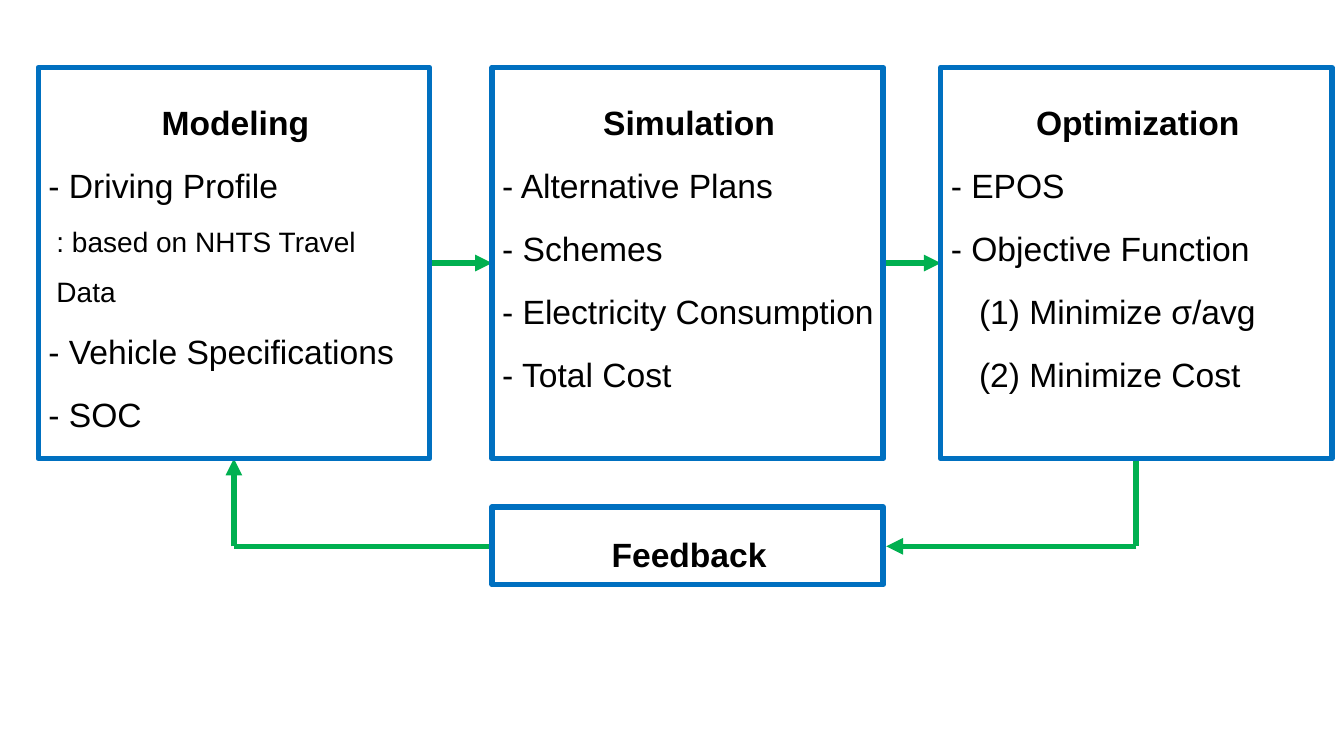
import pptx
import pptx.dml.color
import pptx.enum.shapes
import pptx.enum.text
import pptx.oxml.ns
import pptx.util
from lxml import etree

BLUE = pptx.dml.color.RGBColor(0x00, 0x70, 0xC0)
GREEN = pptx.dml.color.RGBColor(0x00, 0xB0, 0x50)
BLACK = pptx.dml.color.RGBColor(0x00, 0x00, 0x00)

# Layout in inches
SLIDE_WIDTH, SLIDE_HEIGHT = 13.33, 7.5
COLUMNS = (0.38, 4.88, 9.33)
STAGE_TOP, STAGE_SIZE = 0.67, 3.88
FEEDBACK_TOP, FEEDBACK_HEIGHT = 5.03, 0.77
TEXT_TOP, TEXT_WIDTH, TEXT_HEIGHT = 0.56, 3.91, 3.9
STROKE = pptx.util.Pt(4)

# Each stage: heading, then (text, size in points, indent in inches)
STAGES = (
    ("Modeling", (("- Driving Profile", 24, 0),
                  (": based on NHTS Travel Data", 20, 0.08),
                  ("- Vehicle Specifications", 24, 0),
                  ("- SOC", 24, 0))),
    ("Simulation", (("- Alternative Plans", 24, 0),
                    ("- Schemes", 24, 0),
                    ("- Electricity Consumption", 24, 0),
                    ("- Total Cost", 24, 0))),
    ("Optimization", (("- EPOS", 24, 0),
                      ("- Objective Function", 24, 0),
                      ("(1) Minimize σ/avg", 24, 0.28),
                      ("(2) Minimize Cost", 24, 0.28))),
)


def inches(*lengths):
    """Convert lengths in inches to slide units."""
    return [pptx.util.Inches(length) for length in lengths]


def write(paragraph, text, size=24, bold=False, centered=False, spacing=1.5, indent=0):
    """Write one formatted paragraph without a bullet."""
    align = pptx.enum.text.PP_ALIGN
    paragraph.alignment = align.CENTER if centered else align.LEFT
    paragraph.line_spacing = spacing
    paragraph.space_before = pptx.util.Pt(1.75)
    properties = paragraph._p.get_or_add_pPr()
    properties.set("marL", str(pptx.util.Inches(indent)))
    properties.set("indent", "0")
    etree.SubElement(properties, pptx.oxml.ns.qn("a:buNone"))
    run = paragraph.add_run()
    run.text = text
    run.font.name = "Arial"
    run.font.size = pptx.util.Pt(size)
    run.font.bold = bold
    run.font.color.rgb = BLACK


def place_text(body, left, top, height, heading, items=(), heading_spacing=2.0):
    """Move a body placeholder and fill it with a heading and its list."""
    body.left, body.top, body.width, body.height = inches(left, top, TEXT_WIDTH, height)
    frame = body.text_frame
    frame.word_wrap = True
    frame.auto_size = pptx.enum.text.MSO_AUTO_SIZE.NONE
    frame.vertical_anchor = pptx.enum.text.MSO_ANCHOR.TOP
    write(frame.paragraphs[0], heading, bold=True, centered=True, spacing=heading_spacing)
    for text, size, indent in items:
        write(frame.add_paragraph(), text, size=size, indent=indent)


def add_frame(slide, left, top, height):
    """Draw an unfilled blue frame one column wide."""
    frame = slide.shapes.add_shape(
        pptx.enum.shapes.MSO_SHAPE.RECTANGLE, *inches(left, top, STAGE_SIZE, height))
    frame.shadow.inherit = False
    frame.fill.background()
    frame.line.color.rgb = BLUE
    frame.line.width = STROKE


def add_flow(slide, start, end, arrow=True):
    """Draw a green line, with an arrowhead at its end if asked."""
    flow = slide.shapes.add_connector(
        pptx.enum.shapes.MSO_CONNECTOR.STRAIGHT, *inches(*start, *end))
    flow.line.color.rgb = GREEN
    flow.line.width = STROKE
    if arrow:
        etree.SubElement(flow.line._get_or_add_ln(),
                         pptx.oxml.ns.qn("a:tailEnd"), type="triangle")
    etree.SubElement(flow._element.spPr, pptx.oxml.ns.qn("a:effectLst"))


def add_flows(slide):
    """Link the stages in a row and loop back through the feedback."""
    stage_middle = 2.61
    stage_bottom = STAGE_TOP + STAGE_SIZE
    feedback_middle = 5.42
    for left, following in zip(COLUMNS, COLUMNS[1:]):
        add_flow(slide, (left + STAGE_SIZE, stage_middle), (following, stage_middle))
    first, last = (left + STAGE_SIZE / 2 for left in (COLUMNS[0], COLUMNS[-1]))
    feedback_left = COLUMNS[1]
    feedback_right = feedback_left + STAGE_SIZE + 0.03
    add_flow(slide, (last, stage_bottom), (last, feedback_middle), arrow=False)
    add_flow(slide, (last, feedback_middle), (feedback_right, feedback_middle))
    add_flow(slide, (feedback_left, feedback_middle), (first, feedback_middle), arrow=False)
    add_flow(slide, (first, feedback_middle), (first, stage_bottom))


def main():
    """Build the process slide."""
    deck = pptx.Presentation()
    deck.slide_width, deck.slide_height = inches(SLIDE_WIDTH, SLIDE_HEIGHT)
    slide = deck.slides.add_slide(deck.slide_layouts.get_by_name("Comparison"))
    title, *stage_bodies, feedback_body = slide.placeholders
    title._element.getparent().remove(title._element)

    add_flows(slide)
    for body, left, (heading, items) in zip(stage_bodies, COLUMNS, STAGES):
        add_frame(slide, left, STAGE_TOP, STAGE_SIZE)
        place_text(body, left, TEXT_TOP, TEXT_HEIGHT, heading, items)
    add_frame(slide, COLUMNS[1], FEEDBACK_TOP, FEEDBACK_HEIGHT)
    place_text(feedback_body, COLUMNS[1], 5.05, 0.7, "Feedback", heading_spacing=1.5)
    deck.save("out.pptx")


main()
